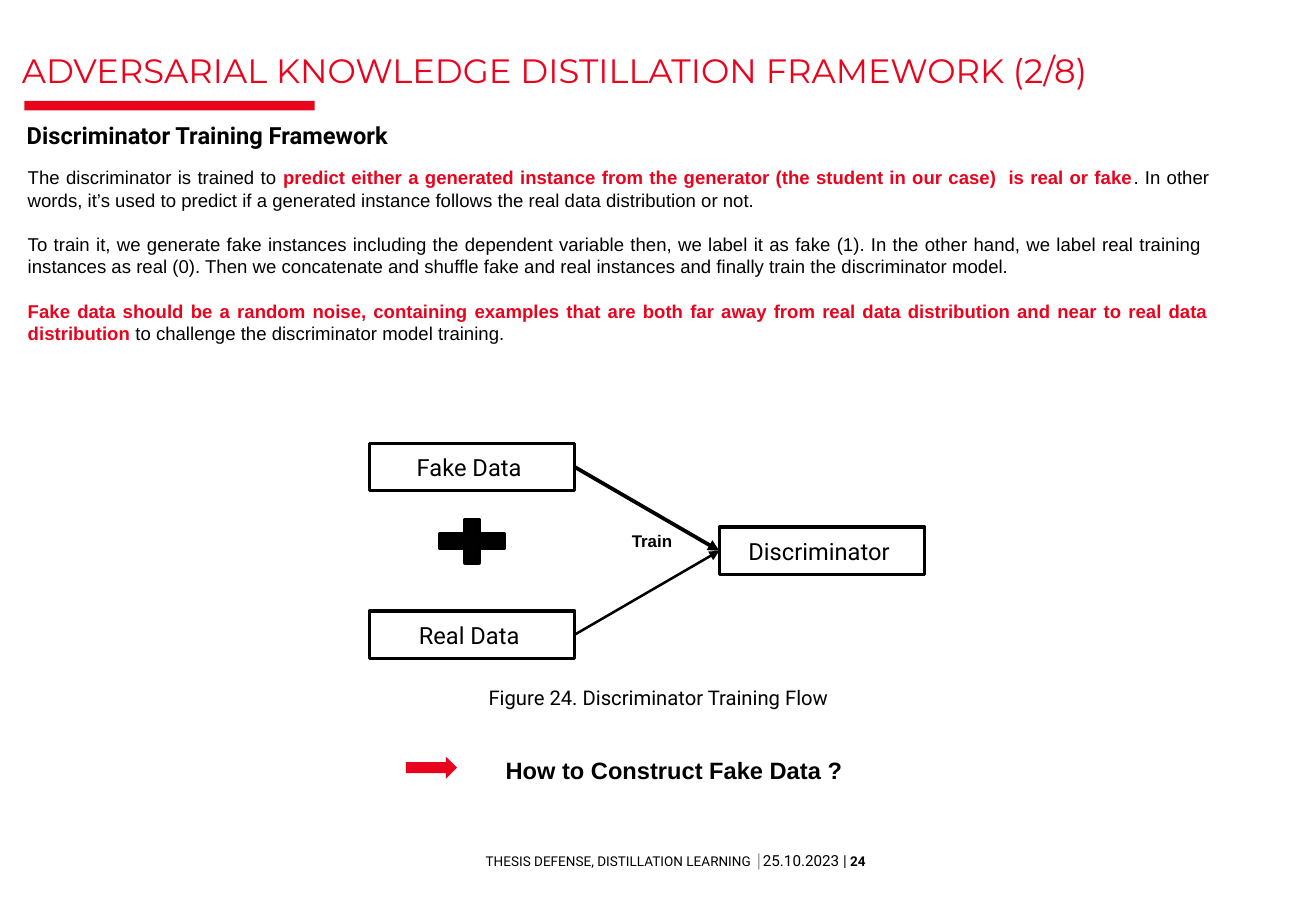
from dataclasses import dataclass

from lxml import etree
from pptx import Presentation
from pptx.dml.color import RGBColor
from pptx.enum.shapes import MSO_CONNECTOR, MSO_SHAPE
from pptx.enum.text import MSO_ANCHOR, PP_ALIGN
from pptx.oxml.ns import qn
from pptx.util import Pt

PX = 9144  # 100 px to the inch
RECTANGLE, PLUS = MSO_SHAPE.RECTANGLE, MSO_SHAPE.MATH_PLUS
RIGHT_ARROW = MSO_SHAPE.RIGHT_ARROW
STRAIGHT = MSO_CONNECTOR.STRAIGHT
TOP, MIDDLE, BOTTOM = MSO_ANCHOR.TOP, MSO_ANCHOR.MIDDLE, MSO_ANCHOR.BOTTOM
LEFT, CENTER, JUSTIFY = PP_ALIGN.LEFT, PP_ALIGN.CENTER, PP_ALIGN.JUSTIFY
LEFT_SIDE, RIGHT_SIDE = 1, 3


@dataclass(frozen=True)
class Theme:
    red: str = "E9041E"
    ink: str = "010101"
    black: str = "000000"
    grey: str = "808080"
    white: str = "FFFFFF"
    title_font: str = "Montserrat"
    label_font: str = "Roboto"
    body_font: str = "Arial"
    title: int = 20
    heading: int = 14
    caption: int = 12
    body: int = 11
    small: int = 10
    date: int = 9
    footer: int = 8
    body_line: float = 13.2


THEME = Theme()


@dataclass(frozen=True)
class Box:
    left: int
    top: int
    width: int
    height: int

    def inner(self, left, top, width, height):
        return Box(self.left + left, self.top + top, width, height)

    def emu(self):
        return [n * PX for n in (self.left, self.top, self.width, self.height)]


@dataclass(frozen=True)
class Run:
    text: str
    size: int
    font: str = THEME.label_font
    color: str = THEME.ink
    bold: bool = False


def write(shape, paragraphs, align=LEFT, anchor=TOP, inset=(0, 0),
          wrap=True, spacing=None, gap=0):
    frame = shape.text_frame
    frame.word_wrap = wrap
    frame.vertical_anchor = anchor
    frame.margin_left = frame.margin_right = inset[0] * PX
    frame.margin_top = frame.margin_bottom = inset[1] * PX
    for index, runs in enumerate(paragraphs):
        paragraph = frame.add_paragraph() if index else frame.paragraphs[0]
        paragraph.alignment = align
        if spacing:
            paragraph.line_spacing = spacing
        if index:
            paragraph.space_before = Pt(gap)
        for item in runs:
            run = paragraph.add_run()
            run.text = item.text
            run.font.size = Pt(item.size)
            run.font.name = item.font
            run.font.bold = item.bold
            run.font.color.rgb = RGBColor.from_string(item.color)


def add_text(slide, box, paragraphs, **options):
    write(slide.shapes.add_textbox(*box.emu()), paragraphs, **options)


def add_block(slide, kind, box, fill, line=None):
    shape = slide.shapes.add_shape(kind, *box.emu())
    shape.shadow.inherit = False
    shape.fill.solid()
    shape.fill.fore_color.rgb = RGBColor.from_string(fill)
    if line:
        shape.line.color.rgb = RGBColor.from_string(line)
        shape.line.width = Pt(2)
    else:
        shape.line.fill.background()
    return shape


def add_arrow(slide, source, target, width):
    connector = slide.shapes.add_connector(STRAIGHT, 0, 0, 0, 0)
    connector.begin_connect(source, RIGHT_SIDE)
    connector.end_connect(target, LEFT_SIDE)
    connector.line.color.rgb = RGBColor.from_string(THEME.ink)
    connector.line.width = Pt(width)
    line = connector.line._get_or_add_ln()
    etree.SubElement(line, qn("a:tailEnd"), type="triangle")
    etree.SubElement(connector._element.spPr, qn("a:effectLst"))


def add_header(slide, box):
    # Title, red rule and section heading
    title = Run("ADVERSARIAL KNOWLEDGE DISTILLATION FRAMEWORK (2/8)",
                THEME.title, THEME.title_font, THEME.red)
    add_text(slide, box.inner(0, 0, box.width, 26), [[title]],
             anchor=BOTTOM, spacing=0.75)
    add_block(slide, RECTANGLE, box.inner(2, 35, 239, 8), THEME.red)
    heading = Run("Discriminator Training Framework", THEME.heading, bold=True)
    add_text(slide, box.inner(0, 50, 329, 29), [[heading]],
             inset=(4, 4), spacing=0.9)


def add_explanation(slide, box):
    def plain(text):
        return Run(text, THEME.body, THEME.body_font, THEME.black)

    def key(text):
        return Run(text, THEME.body, THEME.body_font, THEME.red, True)

    paragraphs = [
        [plain("The discriminator is trained to "),
         key("predict either a generated instance from the generator "
             "(the student in our case)  is real or fake"),
         plain(". In other words, it’s used to predict if a generated instance "
               "follows the real data distribution or not.")],
        [plain("To train it, we generate fake instances including the dependent "
               "variable then, we label it as fake (1). In the other hand, we label "
               "real training  instances as real (0). Then we concatenate and shuffle "
               "fake and real instances and finally train the discriminator model. ")],
        [key("Fake data should be a random noise, containing examples that are both "
             "far away from real data distribution and near to real data distribution"),
         plain(" to challenge the discriminator model training. ")],
    ]
    add_text(slide, box, paragraphs, align=JUSTIFY, inset=(10, 5),
             spacing=Pt(THEME.body_line), gap=THEME.body_line)


def add_training_flow(slide, box):
    # Two data sources feed the discriminator, halfway between them
    nodes = {}
    for name, left, top in (("Fake Data ", 0, 0), ("Real Data ", 0, 138),
                            ("Discriminator ", 288, 69)):
        node = add_block(slide, RECTANGLE, box.inner(left, top, 169, 39),
                         THEME.white, THEME.ink)
        write(node, [[Run(name, THEME.heading)]], align=CENTER, anchor=MIDDLE)
        nodes[name] = node
    add_block(slide, PLUS, box.inner(48, 56, 73, 49), THEME.ink, THEME.black)
    for name, width in (("Fake Data ", 2.25), ("Real Data ", 1.5)):
        add_arrow(slide, nodes[name], nodes["Discriminator "], width)

    # Arrow label and caption
    label = Run("Train", THEME.small, THEME.body_font, bold=True)
    add_text(slide, box.inner(212, 68, 57, 25), [[label]], inset=(4, 4))
    caption = Run("Figure 24. Discriminator Training Flow ", THEME.caption)
    add_text(slide, box.inner(51, 195, 378, 28), [[caption]],
             align=CENTER, inset=(4, 4))


def add_question(slide, box):
    question = Run("How to Construct Fake Data ? ", THEME.heading,
                   THEME.body_font, bold=True)
    add_text(slide, box, [[question]], align=CENTER, inset=(4, 4))
    add_block(slide, RIGHT_ARROW, box.inner(58, 5, 42, 18), THEME.red)


def add_footer(slide, box):
    runs = [Run("THESIS DEFENSE, DISTILLATION LEARNING ", THEME.footer),
            Run("│", THEME.footer, color=THEME.grey),
            Run("25.10.2023 |", THEME.date),
            Run(" 24", THEME.footer, bold=True)]
    add_text(slide, box, [runs], align=CENTER, anchor=MIDDLE, wrap=False)


def main():
    presentation = Presentation()
    presentation.slide_width = 1083 * PX
    presentation.slide_height = 750 * PX
    slide = presentation.slides.add_slide(presentation.slide_layouts[6])
    add_footer(slide, Box(399, 701, 314, 15))
    add_header(slide, Box(18, 48, 1077, 79))
    add_explanation(slide, Box(13, 132, 992, 177))
    add_training_flow(slide, Box(304, 365, 457, 223))
    add_question(slide, Box(276, 618, 563, 32))
    presentation.save("out.pptx")


if __name__ == "__main__":
    main()
